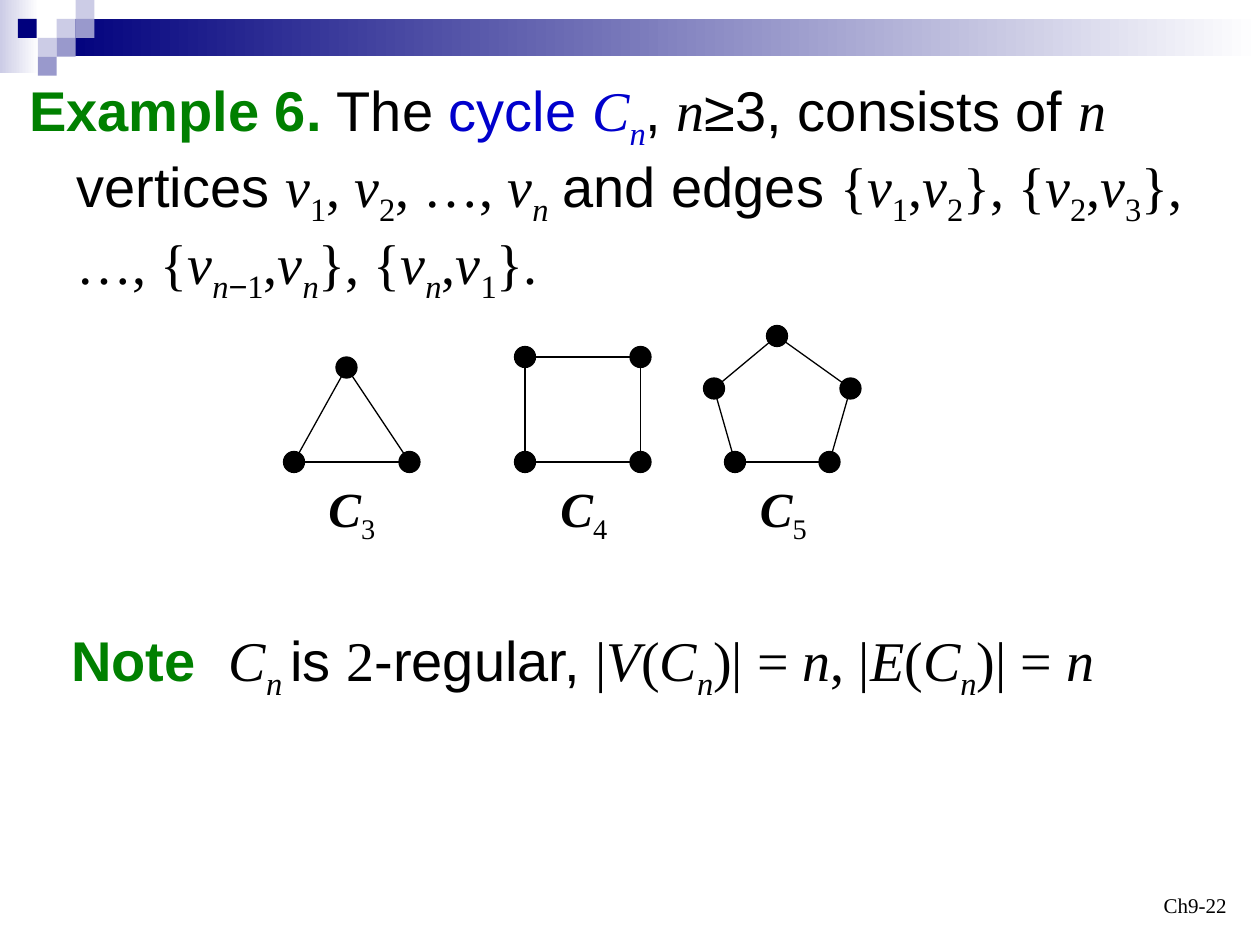
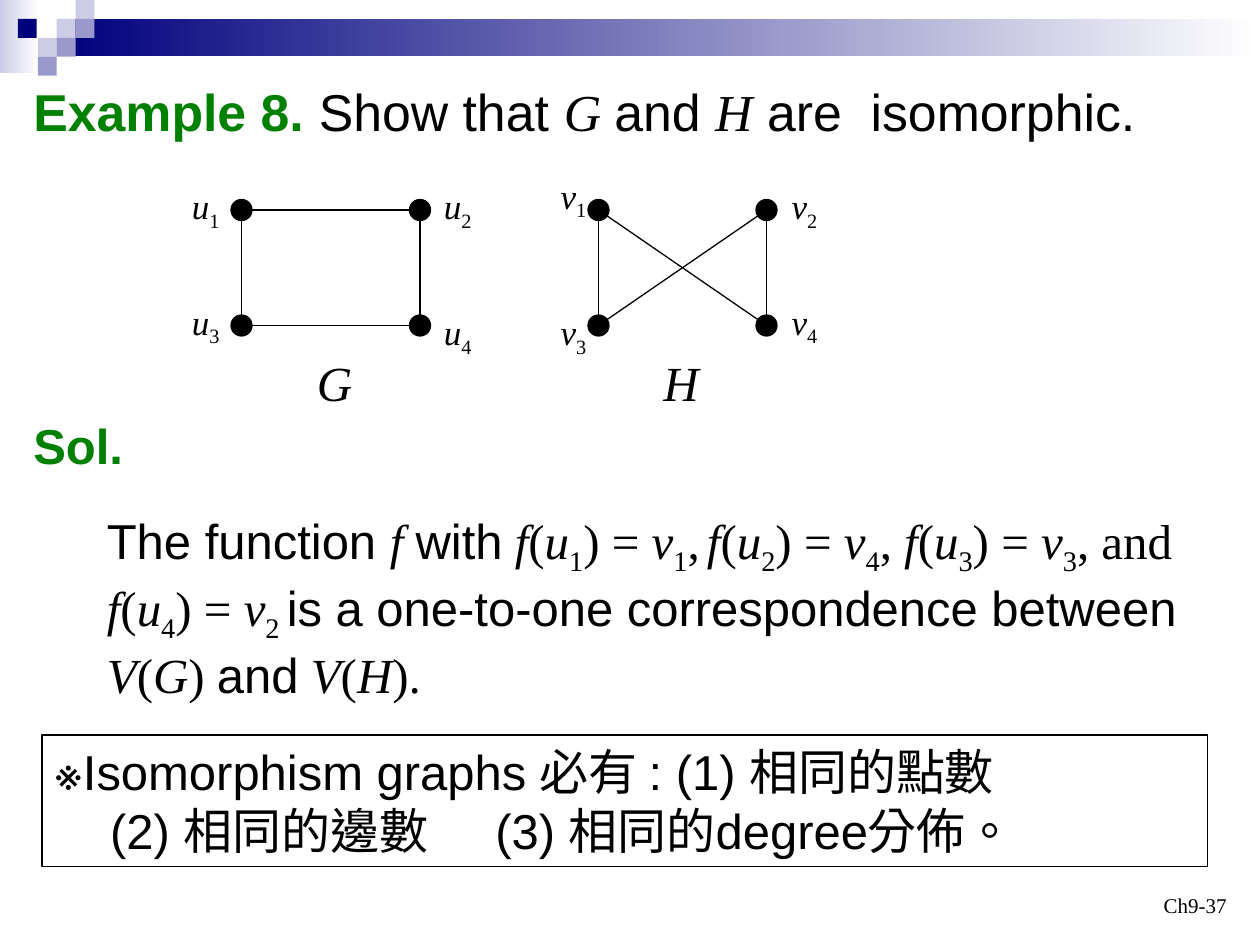
from dataclasses import dataclass
from itertools import groupby
from typing import NamedTuple

from lxml.etree import SubElement
from pptx import Presentation
from pptx.dml.color import RGBColor
from pptx.enum.shapes import MSO_CONNECTOR as Connector, MSO_SHAPE as Preset
from pptx.enum.text import MSO_ANCHOR as Anchor, PP_ALIGN as Align
from pptx.oxml.ns import qn
from pptx.shapes.autoshape import Shape
from pptx.slide import Slide
from pptx.util import Emu, Pt

PX = 7620
SANS, SERIF = "Arial", "Times New Roman"
BLACK, WHITE, GREEN, BLUE = "000000", "FFFFFF", "008000", "0000CC"
NAVY, LILAC, PALE = "00007D", "9999CC", "CCCCE6"
TILE = 18
DOT = 20


class Area(NamedTuple):
    left: int
    top: int
    width: int
    height: int


class Span(NamedTuple):
    text: str
    font: str = SANS
    colour: str = BLACK
    bold: bool = False
    italic: bool = False
    lowered: bool = False
    language: str = "en-US"


class Tile(NamedTuple):
    left: int
    row: int
    colour: str


class Label(NamedTuple):
    text: str
    area: Area
    size: int
    bold: bool = False


@dataclass
class Graph:
    vertices: list[tuple[int, int]]
    edges: list[tuple[int, int]]


TILES = [
    Tile(54, 1, PALE), Tile(72, 0, PALE), Tile(72, 1, LILAC), Tile(36, 2, PALE),
    Tile(17, 1, NAVY), Tile(54, 2, LILAC), Tile(36, 3, LILAC),
]


def px(length: float) -> Emu:
    return Emu(round(length * PX))


def rgb(colour: str) -> RGBColor:
    return RGBColor.from_string(colour)


def emu(area: Area) -> list[Emu]:
    return [px(length) for length in area]


def green(text: str) -> Span:
    return Span(text, colour=GREEN, bold=True)


def formula(text: str, colour: str = BLACK, bold: bool = False) -> list[Span]:
    marks: list[tuple[str, str, bool, bool]] = []
    lowered = False
    for sign in text:
        if sign == "_":
            lowered = True
            continue
        font = SANS if sign == "−" else SERIF
        marks.append((sign, font, sign.isalpha(), lowered))
        lowered = False
    return [
        Span("".join(mark[0] for mark in group), font, colour, bold and italic, italic, low)
        for (font, italic, low), group in groupby(marks, key=lambda mark: mark[1:])
    ]


def add_filled(page: Slide, preset: Preset, area: Area, colour: str, fade: bool = False) -> Shape:
    shape = page.shapes.add_shape(preset, *emu(area))
    shape.shadow.inherit = False
    shape.line.fill.background()
    if fade:
        shape.fill.gradient()
        shape.fill.gradient_angle = 0
        for stop, stop_colour in zip(shape.fill.gradient_stops, (colour, WHITE)):
            stop.color.rgb = rgb(stop_colour)
    else:
        shape.fill.solid()
        shape.fill.fore_color.rgb = rgb(colour)
    return shape


def outline(shape: Shape) -> None:
    shape.line.color.rgb = rgb(BLACK)
    shape.line.width = Pt(0.75)


def add_text(page: Slide, area: Area, size: float, paragraphs: list[list[Span]],
             hanging: int = 0, tabs: tuple[int, ...] = ()) -> Shape:
    box = page.shapes.add_textbox(*emu(area))
    frame = box.text_frame
    frame.word_wrap = True
    for index, spans in enumerate(paragraphs):
        para = frame.add_paragraph() if index else frame.paragraphs[0]
        properties = para._p.get_or_add_pPr()
        if hanging:
            properties.set("marL", str(px(hanging)))
            properties.set("indent", str(px(-hanging)))
        if tabs:
            stops = SubElement(properties, qn("a:tabLst"))
            for position in tabs:
                SubElement(stops, qn("a:tab"), pos=str(px(position)), algn="l")
        for span in spans:
            run = para.add_run()
            run.text = span.text
            font = run.font
            font.name, font.size = span.font, Pt(size)
            font.bold, font.italic = span.bold, span.italic
            font.color.rgb = rgb(span.colour)
            run_properties = run._r.get_or_add_rPr()
            run_properties.set("lang", span.language)
            if span.lowered:
                run_properties.set("baseline", "-25000")
    return box


def add_label(page: Slide, label: Label) -> None:
    add_text(page, label.area, label.size, [formula(label.text, bold=label.bold)])


def add_graph(page: Slide, graph: Graph) -> None:
    for start, end in graph.edges:
        points = (*graph.vertices[start], *graph.vertices[end])
        edge = page.shapes.add_connector(Connector.STRAIGHT, *map(px, points))
        outline(edge)
        SubElement(edge._element.spPr, qn("a:effectLst"))
    for x, y in graph.vertices:
        area = Area(x - DOT // 2, y - DOT // 2, DOT, DOT)
        outline(add_filled(page, Preset.OVAL, area, BLACK))


def cycle(vertices: list[tuple[int, int]]) -> Graph:
    count = len(vertices)
    return Graph(vertices, [(index, (index + 1) % count) for index in range(count)])


def add_page(deck: Presentation, number: str) -> Slide:
    page = deck.slides.add_slide(deck.slide_layouts[6])
    add_filled(page, Preset.RECTANGLE, Area(0, 0, 37, 70), PALE, fade=True)
    add_filled(page, Preset.RECTANGLE, Area(54, TILE, 1146, 35), NAVY, fade=True)
    for tile in TILES:
        area = Area(tile.left, tile.row * TILE, TILE, TILE)
        add_filled(page, Preset.RECTANGLE, area, tile.colour)
    footer = add_text(page, Area(900, 820, 280, 60), 12, [[Span(number, SERIF)]])
    footer.text_frame.vertical_anchor = Anchor.BOTTOM
    footer.text_frame.paragraphs[0].alignment = Align.RIGHT
    return page


def build_cycles(deck: Presentation) -> None:
    page = add_page(deck, "Ch9-22")
    definition = [
        green("Example 6."), Span(" The "), Span("cycle ", colour=BLUE),
        *formula("C_n", BLUE), Span(", "), *formula("n"), Span("≥3, consists of "),
        *formula("n"), Span(" vertices "), *formula("v_1, v_2, …, v_n "),
        Span("and edges "),
        *formula("{v_1,v_2}, {v_2,v_3}, …, {v_n_−_1,v_n}, {v_n,v_1}."),
    ]
    add_text(page, Area(16, 66, 1164, 294), 32, [definition], hanging=45)

    cycles = [
        cycle([(330, 350), (390, 440), (280, 440)]),
        cycle([(500, 340), (610, 340), (610, 440), (500, 440)]),
        cycle([(740, 320), (810, 370), (790, 440), (700, 440), (680, 370)]),
    ]
    for graph, left in zip(cycles, (301, 522, 712)):
        add_graph(page, graph)
        name = f"C_{len(graph.vertices)}"
        add_label(page, Label(name, Area(left, 450, 84, 76), 28, bold=True))

    remark = [
        green("Note\t"), *formula("C_n_ "), Span("is "), *formula("2"), Span("-regular, "),
        *formula("|V(C_n)| = n, |E(C_n)| = n"),
    ]
    add_text(page, Area(56, 590, 1040, 85), 32, [remark], tabs=(150,))


def build_isomorphism(deck: Presentation) -> None:
    page = add_page(deck, "Ch9-37")
    task = [
        green("Example 8. "), Span("Show that "), *formula("G "), Span("and "),
        *formula("H"), Span(" are  isomorphic."),
    ]
    add_text(page, Area(20, 70, 1150, 80), 29.6, [task], hanging=45)

    top, bottom = 200, 310
    sides = [(0, 2), (1, 3)]
    for (left, right), links in (
        ((230, 400), [(0, 1), (2, 3)]),
        ((570, 730), [(0, 3), (1, 2)]),
    ):
        vertices = [(x, y) for y in (top, bottom) for x in (left, right)]
        add_graph(page, Graph(vertices, sides + links))

    for name, left, label_top in (
        ("u_1", 171, 170), ("u_2", 411, 170), ("u_3", 171, 280), ("u_4", 411, 290),
        ("v_1", 522, 160), ("v_2", 742, 170), ("v_3", 522, 290), ("v_4", 742, 280),
    ):
        add_label(page, Label(name, Area(left, label_top, 64, 58), 20))
    for name, left in (("G", 290), ("H", 620)):
        add_label(page, Label(name, Area(left, 330, 74, 68), 28))

    add_text(page, Area(20, 390, 150, 68), 28, [[green("Sol.")]])
    solution = [
        Span("The function "), *formula("f "), Span("with"),
        *formula(" f(u_1) = v_1,_ f(u_2) = v_4, f(u_3) = v_3"), Span(", and ", SERIF),
        *formula("f(u_4) = v_2_ "), Span("is a one-to-one correspondence between "),
        *formula("V(G) "), Span("and"), *formula(" V(H)."),
    ]
    add_text(page, Area(90, 480, 1050, 196), 28, [solution])
    conditions = [
        [Span("※Isomorphism graphs 必有 : (1) 相同的點數", language="zh-TW")],
        [Span("\t(2) 相同的邊數\t(3) 相同的degree分佈。", language="zh-TW")],
    ]
    outline(add_text(page, Area(40, 700, 1110, 125), 28, conditions, tabs=(53, 420)))


def main() -> None:
    deck = Presentation()
    deck.slide_width, deck.slide_height = px(1200), px(900)
    build_cycles(deck)
    build_isomorphism(deck)
    deck.save("out.pptx")


if __name__ == "__main__":
    main()
